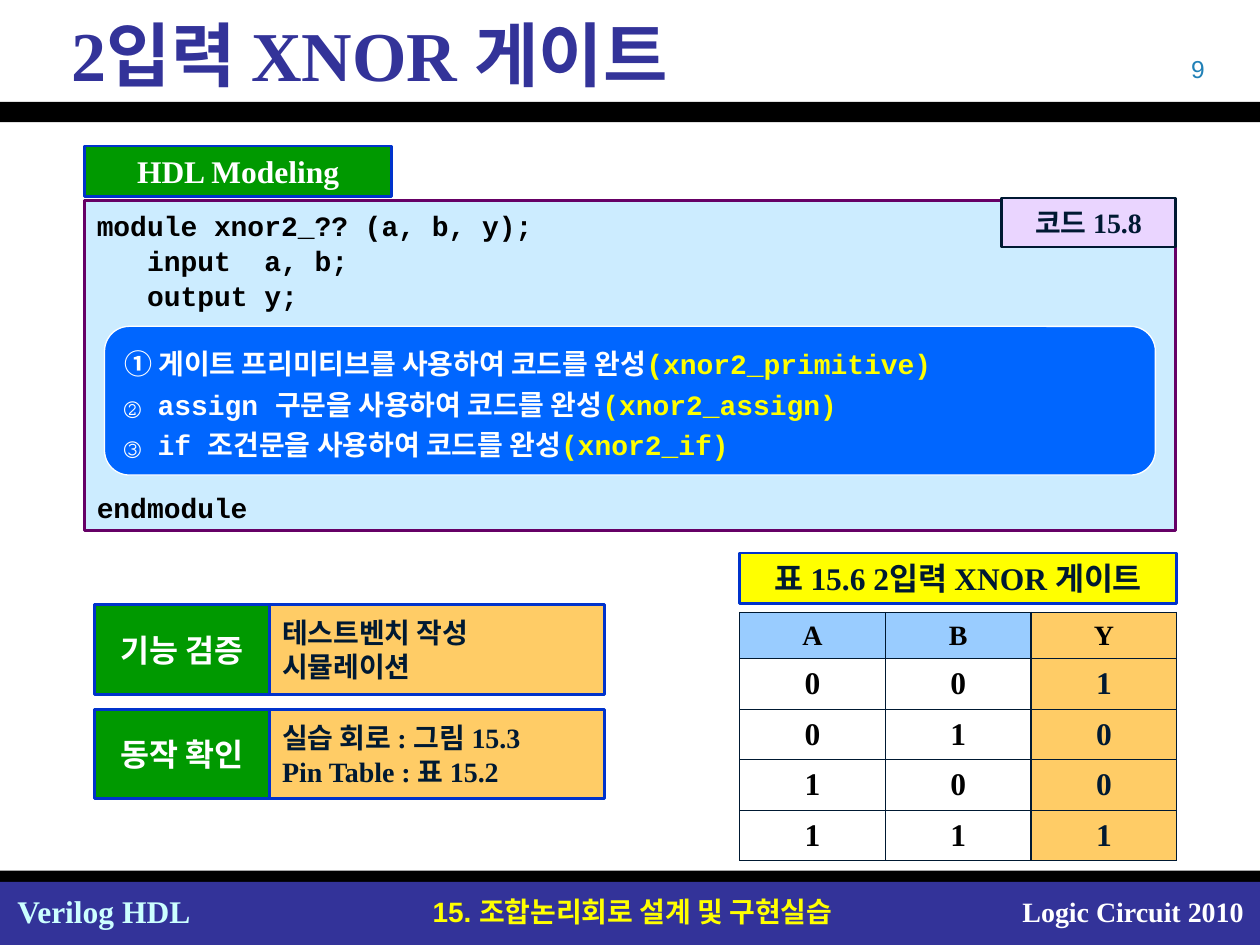
from dataclasses import dataclass
from itertools import product
from typing import NamedTuple, Optional

from lxml.etree import SubElement
from pptx import Presentation
from pptx.dml.color import RGBColor
from pptx.enum.shapes import MSO_SHAPE as SHAPE
from pptx.enum.text import MSO_ANCHOR as ANCHOR, MSO_AUTO_SIZE as AUTO, PP_ALIGN as ALIGN
from pptx.oxml.ns import qn
from pptx.util import Inches, Pt


@dataclass(frozen=True)
class Theme:
    serif: str = "Times New Roman"
    sans: str = "Arial"
    mono: str = "Courier New"
    hangul: str = "Noto Sans CJK KR"
    title: int = 40
    large: int = 18
    body: int = 16
    small: int = 14
    indigo: str = "333399"
    black: str = "000000"
    white: str = "FFFFFF"
    yellow: str = "FFFF00"
    ink: str = "001932"
    green: str = "009900"
    orange: str = "FFCC66"
    border: str = "0033CC"
    code_fill: str = "CCECFF"
    code_line: str = "660066"
    label: str = "EAD5FF"
    task: str = "0066FF"
    header: str = "99CCFF"
    pale: str = "CCFFFF"
    number: str = "2181B7"


T = Theme()


class Font(NamedTuple):
    name: str
    size: int
    color: str
    bold: bool = True


class Box(NamedTuple):
    """Left, top, width and height in grid columns and rows."""
    left: float
    top: float
    width: float
    height: float


class Check(NamedTuple):
    name: str
    lines: list


class Task(NamedTuple):
    text: str
    module: str


# Grid of 100 columns by 75 rows
prs = Presentation()
prs.slide_width, prs.slide_height = Inches(10), Inches(7.5)
COL, ROW = prs.slide_width / 100, prs.slide_height / 75
s = prs.slides.add_slide(prs.slide_layouts[5])


def place(box: Box) -> tuple:
    return tuple(round(v * unit) for v, unit in zip(box, (COL, ROW, COL, ROW)))


def format_run(r, font: Font) -> None:
    f = r.font
    f.name, f.size, f.bold = font.name, Pt(font.size), font.bold
    f.color.rgb = RGBColor.from_string(font.color)
    SubElement(r._r.get_or_add_rPr(), qn("a:ea")).set("typeface", T.hangul)


def write(tf, lines: list, font: Font, align=ALIGN.LEFT, spacing: float = 1.0) -> None:
    tf.word_wrap, tf.auto_size = True, AUTO.NONE
    tf.vertical_anchor = ANCHOR.MIDDLE
    tf.text = "\n".join(lines)
    for p in tf.paragraphs:
        p.alignment, p.line_spacing = align, spacing
        for r in p.runs:
            format_run(r, font)


def add_box(box: Box, fill: str, line: Optional[str] = None, width: float = 1.5,
            kind=SHAPE.RECTANGLE):
    sp = s.shapes.add_shape(kind, *place(box))
    sp.shadow.inherit = False
    sp.fill.solid()
    sp.fill.fore_color.rgb = RGBColor.from_string(fill)
    if line:
        sp.line.color.rgb = RGBColor.from_string(line)
        sp.line.width = Pt(width)
    else:
        sp.line.fill.background()
    return sp


def add_text(box: Box, text: str, font: Font, align=ALIGN.LEFT) -> None:
    tf = s.shapes.add_textbox(*place(box)).text_frame
    write(tf, [text], font, align)
    tf.margin_right = Inches(0.1 if align != ALIGN.LEFT else 0.02)


def border_cell(cell, color: str, width: float) -> None:
    tcPr = cell._tc.get_or_add_tcPr()
    for i, side in enumerate(("lnL", "lnR", "lnT", "lnB")):
        ln = tcPr.makeelement(qn(f"a:{side}"), {"w": str(Pt(width))})
        color_fill = SubElement(ln, qn("a:solidFill"))
        SubElement(color_fill, qn("a:srgbClr")).set("val", color)
        tcPr.insert(i, ln)


# Title, page number and bars
title = s.shapes.title
title.left, title.top, title.width, title.height = place(Box(1.7, 1, 96.7, 6.5))
write(title.text_frame, ["2입력 XNOR 게이트"], Font(T.serif, T.title, T.indigo))
title.text_frame.paragraphs[0]._p.get_or_add_pPr().set("marL", str(Inches(0.3)))
add_text(Box(73.3, 3.8, 23.3, 3.3), "9", Font(T.sans, T.small, T.number, False), ALIGN.RIGHT)
for bar, color in ((Box(0, 8.1, 100, 1.6), T.black), (Box(0, 69.1, 100, 0.9), T.black),
                   (Box(0, 70, 100, 5), T.indigo)):
    add_box(bar, color)

# Footer
add_text(Box(0.4, 70.3, 15.8, 4), "Verilog HDL", Font(T.serif, T.large, T.pale))
add_text(Box(30.7, 70.5, 39, 3.7), "15. 조합논리회로 설계 및 구현실습",
         Font(T.sans, T.body, T.yellow), ALIGN.CENTER)
add_text(Box(78.8, 70.5, 20.9, 3.7), "Logic Circuit 2010",
         Font(T.serif, T.body, T.white), ALIGN.RIGHT)

# Code panel with its heading and number
code = add_box(Box(6.7, 15.9, 86.6, 26.2), T.code_fill, T.code_line).text_frame
write(code, ["module xnor2_?? (a, b, y);", "input  a, b;", "output y;", "endmodule"],
      Font(T.mono, T.body, T.black), spacing=1.05)
for p in code.paragraphs[1:3]:
    p._p.get_or_add_pPr().set("marL", str(Inches(0.4)))
code.paragraphs[-1].space_before = Pt(101)

heading = add_box(Box(6.7, 11.6, 24.4, 4), T.green, T.border)
write(heading.text_frame, ["HDL Modeling"], Font(T.serif, T.large, T.white), ALIGN.CENTER)
label = add_box(Box(79.5, 15.7, 13.8, 3.9), T.label, T.ink)
write(label.text_frame, ["코드 15.8"], Font(T.serif, T.body, T.ink), ALIGN.CENTER)

# Tasks to complete inside the module
TASKS = [Task("① 게이트 프리미티브를 사용하여 코드를 완성", "(xnor2_primitive)"),
         Task("② assign 구문을 사용하여 코드를 완성", "(xnor2_assign)"),
         Task("③ if 조건문을 사용하여 코드를 완성", "(xnor2_if)")]
panel = add_box(Box(8.3, 25.9, 83.4, 11.8), T.task, T.white, 0.75, SHAPE.ROUNDED_RECTANGLE)
write(panel.text_frame, [task.text for task in TASKS],
      Font(T.mono, T.body, T.white), spacing=1.2)
for p, task in zip(panel.text_frame.paragraphs, TASKS):
    r = p.add_run()
    r.text = task.module
    format_run(r, Font(T.mono, T.body, T.yellow))

# Checks: name on the left, steps on the right
CHECKS = [Check("기능 검증", ["테스트벤치 작성", "시뮬레이션"]),
          Check("동작 확인", ["실습 회로 : 그림 15.3", "Pin Table : 표 15.2"])]
for i, check in enumerate(CHECKS):
    top = 48 + 8.3 * i
    steps = add_box(Box(21.4, top, 26.6, 7.1), T.orange, T.border)
    write(steps.text_frame, check.lines, Font(T.serif, T.body, T.ink))
    name = add_box(Box(7.5, top, 13.9, 7.1), T.green, T.border)
    write(name.text_frame, [check.name], Font(T.hangul, T.large, T.white), ALIGN.CENTER)

# Truth table
caption = add_box(Box(58.7, 43.9, 34.7, 4), T.yellow, T.border)
write(caption.text_frame, ["표 15.6 2입력 XNOR 게이트"],
      Font(T.serif, T.large, T.ink), ALIGN.CENTER)
rows = [("A", "B", "Y")] + [(a, b, int(a == b)) for a, b in product((0, 1), repeat=2)]
table = s.shapes.add_table(len(rows), 3, *place(Box(58.7, 48.6, 34.7, 19.7))).table
table.first_row = table.horz_banding = False
for i, row in enumerate(rows):
    table.rows[i].height = round((4 if i else 3.7) * ROW)
    for j, value in enumerate(row):
        cell = table.cell(i, j)
        fill = T.orange if j == 2 else T.white if i else T.header
        cell.fill.solid()
        cell.fill.fore_color.rgb = RGBColor.from_string(fill)
        color = T.ink if i and j == 2 else T.black
        write(cell.text_frame, [str(value)],
              Font(T.serif, T.large if i else T.body, color), ALIGN.CENTER)
        cell.vertical_anchor = ANCHOR.MIDDLE
        border_cell(cell, T.ink, 0.75)

prs.save("out.pptx")
